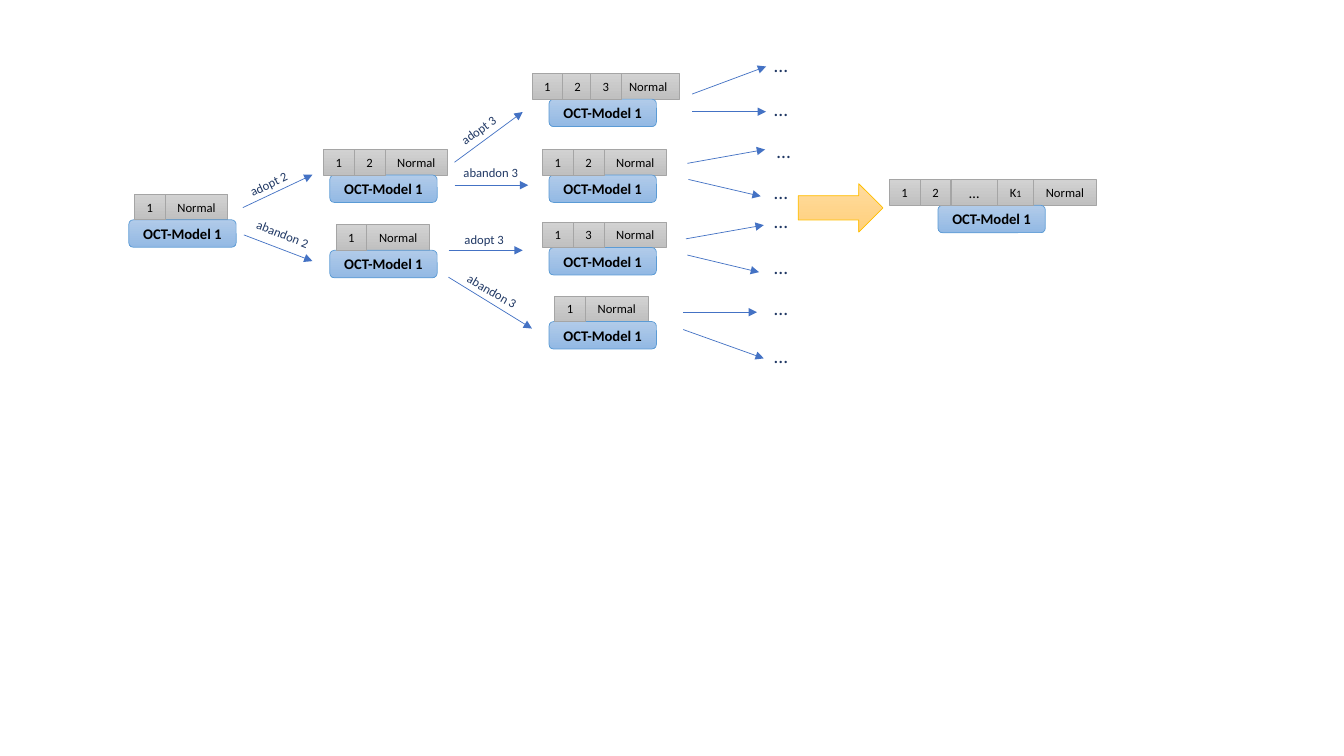
from dataclasses import dataclass

from lxml import etree
from pptx import Presentation
from pptx.dml.color import RGBColor
from pptx.enum import shapes, text
from pptx.oxml import ns
from pptx.util import Pt


@dataclass(frozen=True)
class Theme:
    font: str = "Calibri"
    small: float = 9
    tiny: float = 7
    model: float = 10.5
    dots: float = 14
    hair: float = 0.5
    ink: str = "000000"
    navy: str = "203864"
    blue: str = "4472C4"
    # top colour, bottom colour, outline
    grey: tuple = ("D2D2D2", "C0C0C0", "A5A5A5")
    sky: tuple = ("B1CBE9", "93B9E4", "5B9BD5")
    gold: tuple = ("FFDB9E", "FFD07C", "FFC000")


class Board:
    CELL_H = 18.2
    WIDTHS = {"Normal": 44.8, "…": 33.3, "K1": 25.8}
    DIGIT_W = 22

    def __init__(self, slide, theme):
        self.slide = slide
        self.theme = theme

    def style(self, para, size, color, bold=False):
        font = para.font
        font.name = self.theme.font
        font.size = Pt(size)
        font.bold = bold
        font.color.rgb = RGBColor.from_string(color)

    def shape(self, kind, x, y, w, h, tint):
        """Preset shape with a top-to-bottom gradient."""
        item = self.slide.shapes.add_shape(kind, Pt(x), Pt(y), Pt(w), Pt(h))
        item.shadow.inherit = False
        item.fill.gradient()
        item.fill.gradient_angle = 270
        for stop, color in zip(item.fill.gradient_stops, tint):
            stop.color.rgb = RGBColor.from_string(color)
        item.line.color.rgb = RGBColor.from_string(tint[2])
        item.line.width = Pt(self.theme.hair)
        return item

    def box(self, kind, x, y, w, h, tint, runs, size, bold=False):
        """Shape with centred text."""
        frame = self.shape(kind, x, y, w, h, tint).text_frame
        frame.margin_left = frame.margin_right = 0
        frame.margin_top = frame.margin_bottom = 0
        frame.vertical_anchor = text.MSO_ANCHOR.MIDDLE
        para = frame.paragraphs[0]
        para.alignment = text.PP_ALIGN.CENTER
        self.style(para, size, self.theme.ink, bold)
        for part in runs:
            para.add_run().text = part
        return para

    def cell(self, x, y, label):
        theme = self.theme
        width = self.WIDTHS.get(label, self.DIGIT_W)
        size = theme.model if label == "…" else theme.small
        runs = list(label) if label == "K1" else [label]
        para = self.box(shapes.MSO_SHAPE.RECTANGLE, x, y, width, self.CELL_H,
                        theme.grey, runs, size)
        if label == "K1":
            para.runs[1].font.size = Pt(theme.tiny)

    def node(self, x, y, labels, left, steps=None):
        """Row of cells on top of a model box whose left edge is given."""
        steps = steps or [self.WIDTHS.get(name, self.DIGIT_W) for name in labels]
        spots = [x + sum(steps[:i]) for i in range(len(labels))]
        self.cell(spots[-1], y, labels[-1])
        self.box(shapes.MSO_SHAPE.ROUNDED_RECTANGLE, left, y + self.CELL_H,
                 76.7, 19.6, self.theme.sky, ["OCT-Model 1"],
                 self.theme.model, True)
        for spot, label in zip(spots[:-1], labels):
            self.cell(spot, y, label)

    def arrow(self, x1, y1, x2, y2):
        line = self.slide.shapes.add_connector(
            shapes.MSO_CONNECTOR.STRAIGHT, Pt(x1), Pt(y1), Pt(x2), Pt(y2))
        line.line.color.rgb = RGBColor.from_string(self.theme.blue)
        line.line.width = Pt(self.theme.hair)
        props = line.element.spPr
        etree.SubElement(props.find(ns.qn("a:ln")), ns.qn("a:tailEnd"),
                         type="triangle")
        etree.SubElement(props, ns.qn("a:effectLst"))

    def label(self, x, y, words, size, height, turn=0):
        item = self.slide.shapes.add_textbox(Pt(x), Pt(y), Pt(89.3), Pt(height))
        item.rotation = turn
        frame = item.text_frame
        frame.word_wrap = True
        frame.auto_size = text.MSO_AUTO_SIZE.SHAPE_TO_FIT_TEXT
        para = frame.paragraphs[0]
        para.text = words
        self.style(para, size, self.theme.navy)


# Cells left, cells top, labels, model left
NODES = [
    (231, 106.8, ["1", "2", "Normal"], 235.6),
    (380, 52.6, ["1", "2", "3", "Normal"], 392.2, (21.6, 20.2, 18.8)),
    (240, 160.6, ["1", "Normal"], 235.6),
    (96, 138.8, ["1", "Normal"], 92),
    (387.4, 106.8, ["1", "2", "Normal"], 392.2),
    (396.2, 211.5, ["1", "Normal"], 392.2),
    (387.4, 158.6, ["1", "3", "Normal"], 392.2),
    (635.2, 128.4, ["1", "2", "…", "K1", "Normal"], 670),
]

ARROWS = [
    # First choice
    (173.5, 148.3, 223.2, 124.8), (174.2, 167.8, 223.2, 186.5),
    # Second choice
    (324.7, 132.3, 377.3, 132.3), (324.7, 115.9, 373.4, 80),
    (320.4, 178.8, 373.4, 178.8), (320.4, 198, 380, 234.7),
    # Open ends
    (494.4, 79.8, 547.2, 79.8), (494.4, 67.2, 547.2, 47.5),
    (491, 116.7, 546.5, 106.8), (491.8, 128.2, 543.4, 140.2),
    (490, 170.6, 545.6, 160.8), (491, 182.2, 542.2, 194.4),
    (488, 223, 540.7, 223), (488, 235.4, 545.6, 256),
]

CHOICES = [
    (168.5, 112.3, "adopt 2", 334.5), (174.2, 164.9, "abandon 2", 21.6),
    (316.1, 69.8, "adopt 3", 323.7), (324, 114.5, "abandon 3", 0),
    (322.6, 208.1, "abandon 3", 30), (324.7, 162, "adopt 3", 0),
]

DOTS = [(545.8, 34.6), (545.8, 65.5), (547.9, 95.8), (545.8, 125.3),
        (545.8, 145.4), (545.8, 178.6), (545.8, 208.1), (545.8, 241.9)]


def main():
    deck = Presentation()
    deck.slide_width, deck.slide_height = Pt(960), Pt(540)
    theme = Theme()
    board = Board(deck.slides.add_slide(deck.slide_layouts[6]), theme)

    # Models and their class rows
    for node in NODES:
        board.node(*node)

    # Branches and their names
    for ends in ARROWS:
        board.arrow(*ends)
    for x, y, words, turn in CHOICES:
        board.label(x, y, words, theme.small, 18.2, turn)

    # Further branches
    for x, y in DOTS:
        board.label(x, y, "…", theme.dots, 24.2)

    # Step to the final model
    board.shape(shapes.MSO_SHAPE.RIGHT_ARROW, 570.2, 131.2, 60.5, 34.6, theme.gold)

    deck.save("out.pptx")


if __name__ == "__main__":
    main()
